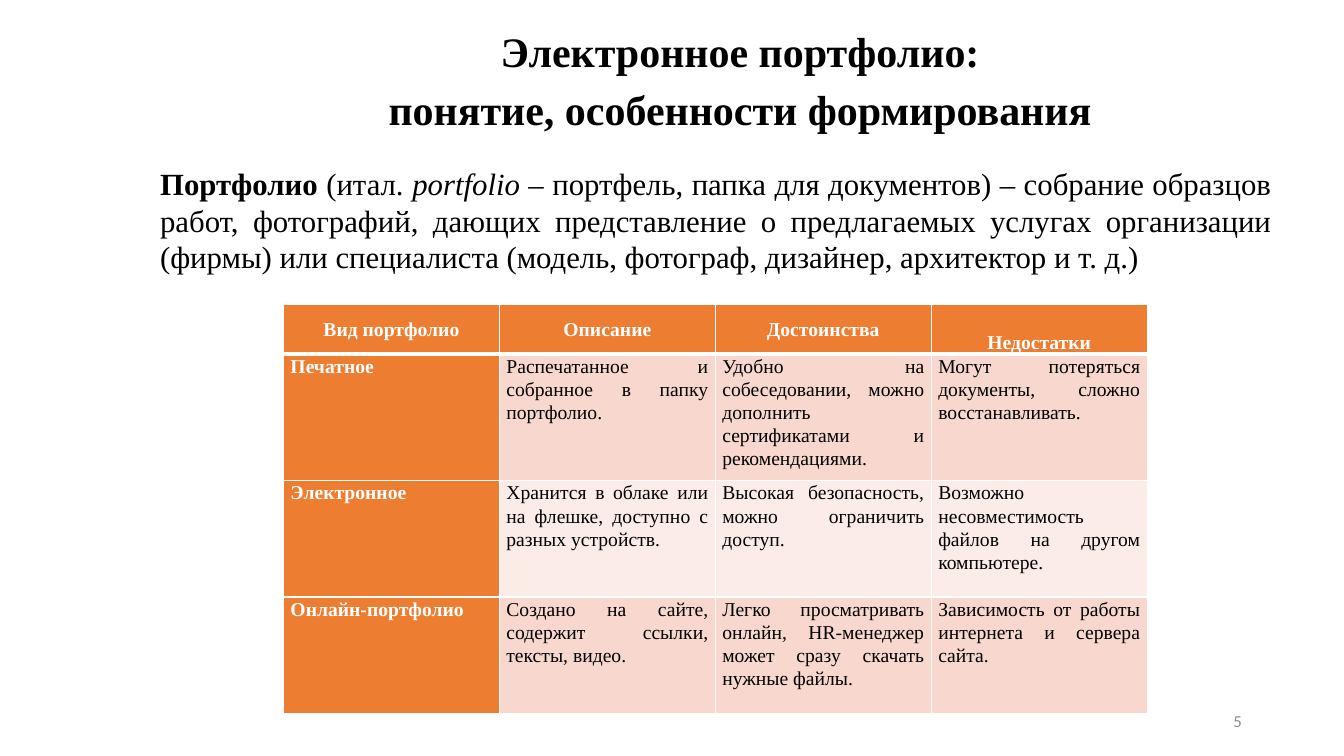
from dataclasses import dataclass

from lxml.etree import SubElement
from pptx import Presentation
from pptx.dml.color import RGBColor
from pptx.enum.text import MSO_ANCHOR as Anchor, MSO_AUTO_SIZE as AutoSize, PP_ALIGN as Align
from pptx.oxml.ns import qn
from pptx.util import Pt


@dataclass(frozen=True)
class Theme:
    serif: str = "Times New Roman"
    sans: str = "Calibri"
    black: str = "000000"
    white: str = "FFFFFF"
    gray: str = "8C8C8C"
    accent: str = "ED7D31"
    bands: tuple = ("F8D7CE", "FCECE8")
    title_size: float = 30
    body_size: float = 22
    table_size: float = 14
    number_size: float = 12


THEME = Theme()

TITLE = ("Электронное портфолио:", "понятие, особенности формирования")
DEFINITION = (
    ("Портфолио", {"bold": True}),
    (" (итал. ", {}),
    ("portfolio", {"italic": True}),
    (" ‒ портфель, папка для документов) ‒ собрание образцов работ, фотографий, "
     "дающих представление о предлагаемых услугах организации (фирмы) или "
     "специалиста (модель, фотограф, дизайнер, архитектор и т. д.)", {}),
)
PORTFOLIO_KINDS = (
    ("Вид портфолио", "Описание", "Достоинства", "Недостатки"),
    ("Печатное", "Распечатанное и собранное в папку портфолио.",
     "Удобно на собеседовании, можно дополнить сертификатами и рекомендациями.",
     "Могут потеряться документы, сложно восстанавливать."),
    ("Электронное", "Хранится в облаке или на флешке, доступно с разных устройств.",
     "Высокая безопасность, можно ограничить доступ.",
     "Возможно несовместимость файлов на другом компьютере."),
    ("Онлайн-портфолио", "Создано на сайте, содержит ссылки, тексты, видео.",
     "Легко просматривать онлайн, HR-менеджер может сразу скачать нужные файлы.",
     "Зависимость от работы интернета и сервера сайта."),
)
ROW_HEIGHTS = (35.5, 90.5, 83, 83)


def apply(target, values):
    for name, value in values.items():
        setattr(target, name, value)


def add_span(para, text, size, color=THEME.black, name=THEME.serif, **style):
    span = para.add_run()
    span.text = text
    apply(span.font, {"size": Pt(size), "name": name, **style})
    span.font.color.rgb = RGBColor.from_string(color)


def add_text_box(page, box):
    frame = page.shapes.add_textbox(*map(Pt, box)).text_frame
    frame.word_wrap = True
    return frame


def add_title(page, box):
    title = page.shapes.title
    apply(title, dict(zip(("left", "top", "width", "height"), map(Pt, box))))
    frame = title.text_frame
    apply(frame, {"word_wrap": False, "auto_size": AutoSize.NONE,
                  "vertical_anchor": Anchor.TOP, "margin_left": Pt(43.2)})
    for index, line in enumerate(TITLE):
        para = frame.add_paragraph() if index else frame.paragraphs[0]
        apply(para, {"alignment": Align.CENTER, "line_spacing": 1.15, "space_before": Pt(0)})
        add_span(para, line, THEME.title_size, bold=True)


def add_definition(page, box):
    para = add_text_box(page, box).paragraphs[0]
    para.alignment = Align.JUSTIFY
    for text, style in DEFINITION:
        add_span(para, text, THEME.body_size, **style)


def add_page_number(page, box):
    frame = add_text_box(page, box)
    frame.vertical_anchor = Anchor.MIDDLE
    para = frame.paragraphs[0]
    para.alignment = Align.RIGHT
    add_span(para, "5", THEME.number_size, THEME.gray, THEME.sans)


def add_borders(cell, widths):
    properties = cell._tc.get_or_add_tcPr()
    for side, width in widths.items():
        line = SubElement(properties, qn(f"a:ln{side}"), w=str(Pt(width)))
        fill = SubElement(line, qn("a:solidFill"))
        SubElement(fill, qn("a:srgbClr"), val=THEME.white)


def format_cell(cell, text, row, column):
    header, label = row == 0, row == 0 or column == 0
    add_borders(cell, {"L": 1, "R": 1, "T": 3 if row == 1 else 1, "B": 3 if header else 1})
    cell.fill.solid()
    cell.fill.fore_color.rgb = RGBColor.from_string(
        THEME.accent if label else THEME.bands[(row - 1) % 2])
    anchor = Anchor.TOP
    if header:
        anchor = Anchor.BOTTOM if column == 3 else Anchor.MIDDLE
    apply(cell, {"margin_left": Pt(5), "margin_right": Pt(5), "margin_top": Pt(0),
                 "margin_bottom": Pt(0), "vertical_anchor": anchor})
    para = cell.text_frame.paragraphs[0]
    apply(para, {"alignment": Align.CENTER if header else Align.JUSTIFY, "line_spacing": 1.07})
    add_span(para, text, THEME.table_size, THEME.white if label else THEME.black, bold=label)


def add_kinds_table(page, box):
    columns = len(PORTFOLIO_KINDS[0])
    table = page.shapes.add_table(len(PORTFOLIO_KINDS), columns, *map(Pt, box)).table
    table.first_col = True
    for column in table.columns:
        column.width = Pt(box[2] / columns)
    for row, height in zip(table.rows, ROW_HEIGHTS):
        row.height = Pt(height)
    for row, texts in enumerate(PORTFOLIO_KINDS):
        for column, text in enumerate(texts):
            format_cell(table.cell(row, column), text, row, column)


def main():
    deck = Presentation()
    apply(deck, {"slide_width": Pt(960), "slide_height": Pt(540)})
    page = deck.slides.add_slide(deck.slide_layouts[5])
    add_page_number(page, (678.25, 500.5, 216, 28.8))
    add_title(page, (231.8, 9.4, 558, 87.8))
    add_definition(page, (107.3, 113.8, 807.8, 87))
    add_kinds_table(page, (202.5, 217.5, 617, sum(ROW_HEIGHTS)))
    deck.save("out.pptx")


if __name__ == "__main__":
    main()
